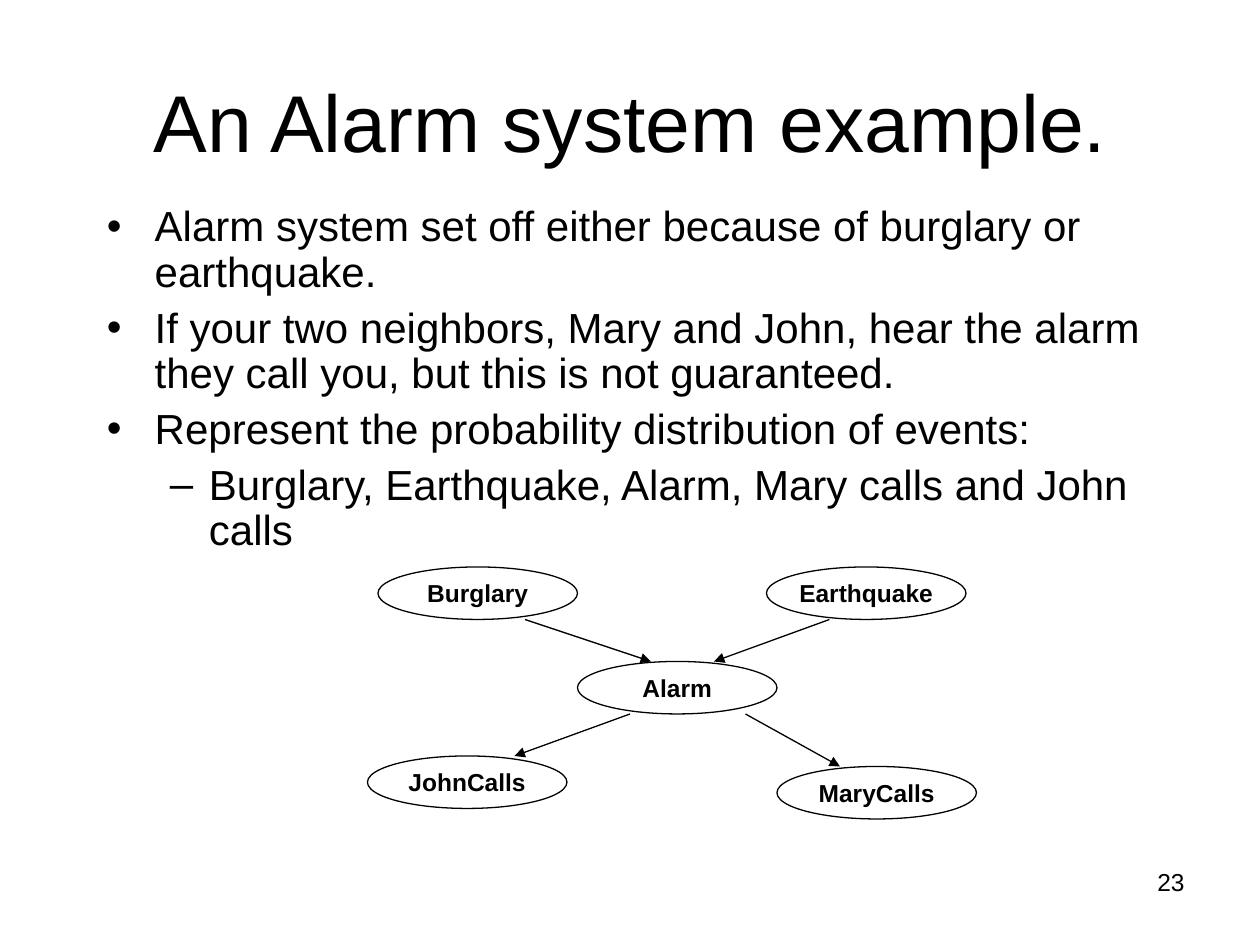
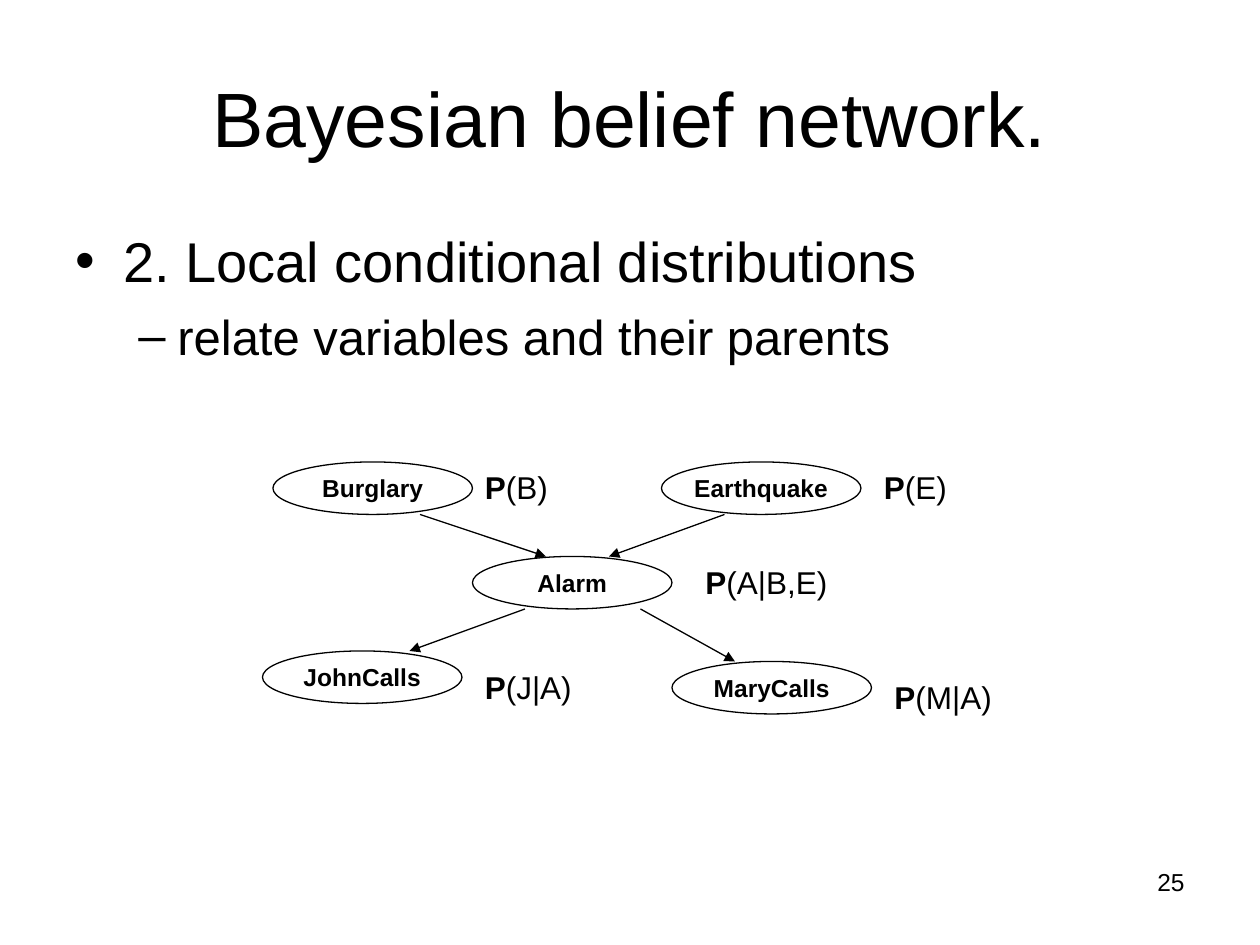
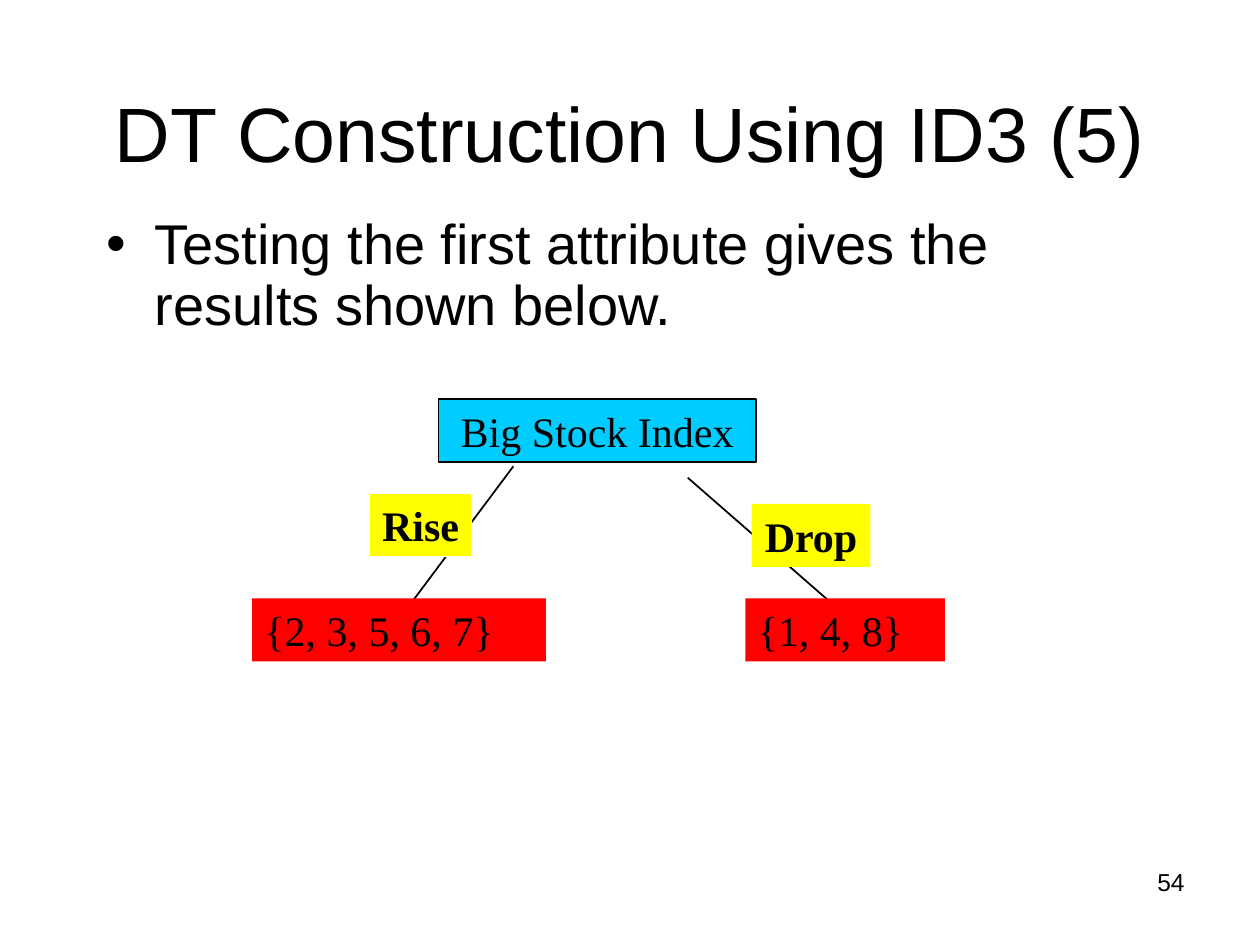
from typing import NamedTuple

from lxml import etree
from pptx import Presentation
from pptx.dml.color import RGBColor
from pptx.enum import shapes, text
from pptx.oxml import ns
from pptx.util import Inches, Pt

WIDE, HIGH = Inches(10), Inches(7.5)
COLS, ROWS = 120, 90
HUES = {"ink": "000000", "white": "FFFFFF", "root": "00CCFF", "edge": "FFFF00", "leaf": "FF0000"}
SANS, SERIF = "Arial", "Times New Roman"
LEFT, MID, RIGHT = text.PP_ALIGN.LEFT, text.PP_ALIGN.CENTER, text.PP_ALIGN.RIGHT
TOP, CORE = text.MSO_ANCHOR.TOP, text.MSO_ANCHOR.MIDDLE
OVAL, RECT = shapes.MSO_SHAPE.OVAL, shapes.MSO_SHAPE.RECTANGLE
MARKS = [("•", 0.38, 0.38), ("–", 0.81, 0.31)]


class Box(NamedTuple):
    """A frame in grid columns and rows."""
    x: float
    y: float
    w: float
    h: float


class Link(NamedTuple):
    """A line between two grid points."""
    x1: float
    y1: float
    x2: float
    y2: float


class Item(NamedTuple):
    """A bulleted paragraph."""
    words: str
    size: int
    gap: int = 6
    level: int = 0


class Node(NamedTuple):
    """A labelled oval, placed from the network's corner."""
    name: str
    x: float
    y: float


class Term(NamedTuple):
    """A probability label, placed from the network's corner."""
    args: str
    x: float
    y: float
    w: float


class Tag(NamedTuple):
    """A filled label of the decision tree."""
    words: str
    box: Box
    fill: str
    line: str = ""
    bold: bool = False
    align: int = MID


NODES = [Node("Burglary", 1, 0), Node("Alarm", 20, 9), Node("Earthquake", 38, 0),
         Node("JohnCalls", 0, 18), Node("MaryCalls", 39, 19)]
LINKS = [Link(15, 5, 27, 9), Link(44, 5, 33, 9), Link(25, 14, 14, 18), Link(36, 14, 45, 19)]
TERMS = [Term("(B)", 20, 0, 11), Term("(E)", 58, 0, 11), Term("(A|B,E)", 41, 9, 16),
         Term("(J|A)", 20, 19, 11), Term("(M|A)", 59, 20, 15)]
FORKS = [Link(48.9, 44.4, 35.9, 61.8), Link(65.5, 45.5, 85.1, 62.6)]
TAGS = [Tag("Big Stock Index", Box(41.75, 38, 30.25, 6), "root", "ink"),
        Tag("Rise", Box(35.2, 47, 9.7, 6), "edge", "white", True),
        Tag("Drop", Box(71.6, 48, 11.3, 6), "edge", "", True),
        Tag("{2, 3, 5, 6, 7}", Box(24, 57, 28, 6), "leaf", align=LEFT),
        Tag("{1, 4, 8}", Box(71, 57, 19, 6), "leaf", align=LEFT)]


def hue(name: str) -> RGBColor:
    """Return a named colour."""
    return RGBColor.from_string(HUES[name])


def across(cols: float) -> int:
    """Turn columns into a length."""
    return round(WIDE * cols / COLS)


def down(rows: float) -> int:
    """Turn rows into a length."""
    return round(HIGH * rows / ROWS)


def frame(box: Box) -> tuple:
    """Turn a grid frame into left, top, width and height."""
    return across(box.x), down(box.y), across(box.w), down(box.h)


def style(para, size: float, face: str = SANS, bold: bool = False, align=LEFT) -> None:
    """Set the font and alignment of a paragraph."""
    para.alignment = align
    font = para.font
    font.size, font.name, font.bold = Pt(size), face, bold
    font.color.rgb = hue("ink")


def write(slide, words: str, box: Box, size: float, align=LEFT):
    """Add a line of text and return its paragraph."""
    area = slide.shapes.add_textbox(*frame(box)).text_frame
    area.word_wrap = True
    para = area.paragraphs[0]
    para.text = words
    style(para, size, align=align)
    return para


def page(deck, title: str, box: Box, size: int, number: int):
    """Add a slide with its title and page number."""
    slide = deck.slides.add_slide(deck.slide_layouts[5])
    head = slide.shapes.title
    head.left, head.top, head.width, head.height = frame(box)
    area = head.text_frame
    area.text = title
    area.auto_size, area.vertical_anchor = text.MSO_AUTO_SIZE.NONE, CORE
    style(area.paragraphs[0], size, align=MID)
    write(slide, str(number), Box(86, 82, 28, 6.2), 14, RIGHT)
    return slide


def bullets(slide, items: list[Item], box: Box, pitch: float = 0.9) -> None:
    """Add a bulleted list."""
    area = slide.shapes.add_textbox(*frame(box)).text_frame
    area.word_wrap = True
    for i, item in enumerate(items):
        para = area.add_paragraph() if i else area.paragraphs[0]
        para.text, para.level = item.words, item.level
        mark, left, hang = MARKS[item.level]
        props = para._p.get_or_add_pPr()
        props.set("marL", str(Inches(left)))
        props.set("indent", str(-Inches(hang)))
        etree.SubElement(props, ns.qn("a:buFont")).set("typeface", SANS)
        etree.SubElement(props, ns.qn("a:buChar")).set("char", mark)
        para.line_spacing = pitch
        if i:
            para.space_before = Pt(item.gap)
        style(para, item.size)


def join(slide, link: Link, width: float, arrow: bool = False) -> None:
    """Draw a straight line, with an arrowhead if asked."""
    line = slide.shapes.add_connector(
        shapes.MSO_CONNECTOR.STRAIGHT,
        across(link.x1), down(link.y1), across(link.x2), down(link.y2))
    line.line.color.rgb, line.line.width = hue("ink"), Pt(width)
    if arrow:
        etree.SubElement(line.line._get_or_add_ln(), ns.qn("a:tailEnd")).set("type", "triangle")
    etree.SubElement(line._element.spPr, ns.qn("a:effectLst"))


def label(slide, kind, words: str, box: Box, fill: str = "", line: str = "", width: float = 1):
    """Draw a shape with text and return its text frame."""
    shape = slide.shapes.add_shape(kind, *frame(box))
    shape.shadow.inherit = False
    if fill:
        shape.fill.solid()
        shape.fill.fore_color.rgb = hue(fill)
    else:
        shape.fill.background()
    if line:
        shape.line.color.rgb, shape.line.width = hue(line), Pt(width)
    else:
        shape.line.fill.background()
    area = shape.text_frame
    area.text = words
    return area


def network(slide, x: float, y: float) -> None:
    """Draw the alarm network from its top left corner."""
    for node in NODES:
        area = label(slide, OVAL, node.name, Box(x + node.x, y + node.y, 19, 5),
                     line="ink", width=0.75)
        area.word_wrap, area.vertical_anchor = False, CORE
        style(area.paragraphs[0], 14, bold=True, align=MID)
    for link in LINKS:
        join(slide, Link(x + link.x1, y + link.y1, x + link.x2, y + link.y2), 0.75, True)


def alarm(deck) -> None:
    """Build the alarm example."""
    slide = page(deck, "An Alarm system example.", Box(9, 5, 102, 13), 46, 23)
    bullets(slide, [
        Item("Alarm system set off either because of burglary or earthquake.", 24),
        Item("If your two neighbors, Mary and John, hear the alarm they call you, "
             "but this is not guaranteed.", 24),
        Item("Represent the probability distribution of events:", 24),
        Item("Burglary, Earthquake, Alarm, Mary calls and John calls", 24, level=1),
    ], Box(9, 19, 102, 55))
    network(slide, 35, 54)


def belief(deck) -> None:
    """Build the network with its local distributions."""
    slide = page(deck, "Bayesian belief network.", Box(6, 3.6, 108, 15), 44, 25)
    bullets(slide, [
        Item("2. Local conditional distributions", 32),
        Item("relate variables and their parents", 28, 7, 1),
    ], Box(6, 21, 108, 59.4), 1.0)
    x, y = 25, 44
    network(slide, x, y)
    for term in TERMS:
        para = write(slide, "P", Box(x + term.x, y + term.y, term.w, 4.8), 18)
        para.runs[0].font.bold = True
        para.add_run().text = term.args


def tree(deck) -> None:
    """Build the first split of the decision tree."""
    slide = page(deck, "DT Construction Using ID3 (5)", Box(9, 6, 102, 13), 44, 54)
    bullets(slide, [Item("Testing the first attribute gives the results shown below.", 32)],
            Box(9, 20, 102, 13))
    for fork in FORKS:
        join(slide, fork, 1)
    for tag in TAGS:
        area = label(slide, RECT, tag.words, tag.box, tag.fill, tag.line)
        area.word_wrap, area.vertical_anchor = tag.align == LEFT, TOP
        style(area.paragraphs[0], 24, SERIF, tag.bold, tag.align)


def main() -> None:
    """Build and save the deck."""
    deck = Presentation()
    deck.slide_width, deck.slide_height = WIDE, HIGH
    for build in (alarm, belief, tree):
        build(deck)
    deck.save("out.pptx")


if __name__ == "__main__":
    main()
